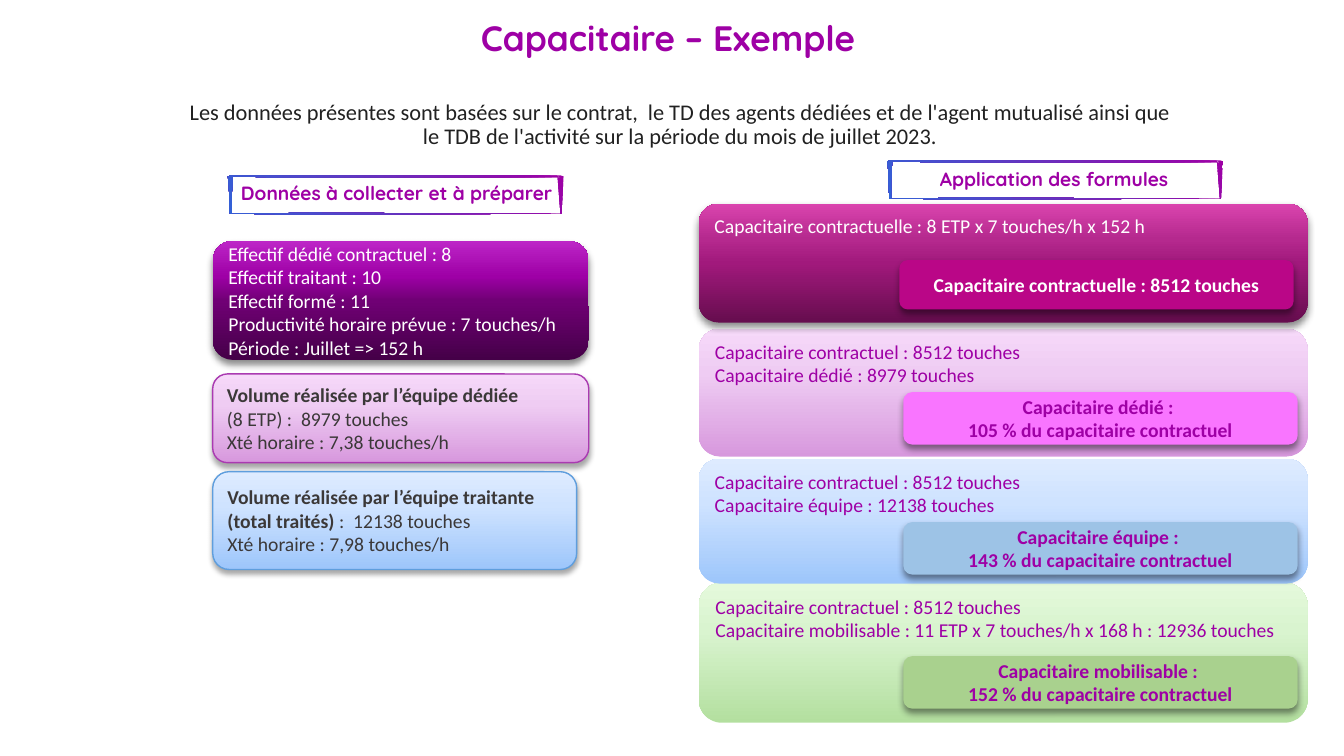
import pptx
import pptx.dml.color
import pptx.enum.shapes
import pptx.enum.text
import pptx.oxml
import pptx.oxml.ns
import pptx.util
from pptx.util import Inches

ALIGN = pptx.enum.text.PP_ALIGN
ANCHOR = pptx.enum.text.MSO_ANCHOR
PURPLE, WHITE, GREY = "9E00A5", "FFFFFF", "3B3838"

LILAC = [(0, "D798DD"), (65, "EFCCF3"), (100, "F6D9F9")]
BLUE = [(0, "9DC6FB"), (65, "CFE3FF"), (100, "DEEBFF")]
GREEN = [(0, "B3DF9F"), (65, "D9F4CF"), (100, "E4F9DB")]
VIOLET = [(0, "450048"), (50, "700075"), (70, "9E00A6"), (100, "BD26C7")]
MAGENTA = [(0, "660D4E"), (50, "A1197C"), (70, "B5298E"), (100, "DA44AE")]
FRAME_FILL = [(0, PURPLE), (100, "3163D8")]

TITLE = "Capacitaire – Exemple"
INTRO = ("Les données présentes sont basées sur le contrat,  le TD des agents dédiées et de "
         "l'agent mutualisé ainsi que le TDB de l'activité sur la période du mois de juillet 2023.")

# Each paragraph is a list of (text, bold) runs.
# box, gradient, outline, shadow (opacity, blur), text colour, paragraphs
DATA_CARDS = [
    ((2.11, 2.39, 3.73, 1.18), VIOLET, None, (45, 5), WHITE,
     [[("Effectif dédié contractuel : 8", False)],
      [("Effectif traitant : 10", False)],
      [("Effectif formé : 11", False)],
      [("Productivité horaire prévue : 7 touches/h", False)],
      [("Période : Juillet => 152 h", False)]]),
    ((2.11, 3.71, 3.73, 0.88), LILAC, "AA3AB1", (35, 4), GREY,
     [[("Volume réalisée par l’équipe dédiée \n", True), ("(8 ETP) :  8979 touches", False)],
      [("Xté horaire : 7,38 touches/h", False)]]),
    ((2.11, 4.68, 3.61, 0.97), BLUE, "5F9EDD", (35, 4), GREY,
     [[("Volume réalisée par l’équipe traitante (total traités) ", True),
       (":  12138 touches", False)],
      [("Xté horaire : 7,98 touches/h", False)]]),
]

# top, height, gradient, shadow, text colour, lines, result (left, top, height, fill, text)
FORMULAS = [
    (2.02, 1.18, MAGENTA, (45, 5), WHITE,
     ["Capacitaire contractuelle : 8 ETP x 7 touches/h x 152 h"],
     (8.92, 2.58, 0.49, "BA0687", "Capacitaire contractuelle : 8512 touches")),
    (3.26, 1.27, LILAC, None, PURPLE,
     ["Capacitaire contractuel : 8512 touches", "Capacitaire dédié : 8979 touches"],
     (8.96, 3.89, 0.52, "F975FF", "Capacitaire dédié : \n105 % du capacitaire contractuel")),
    (4.55, 1.24, BLUE, None, PURPLE,
     ["Capacitaire contractuel : 8512 touches", "Capacitaire équipe : 12138 touches"],
     (8.96, 5.18, 0.52, "9DC3E6", "Capacitaire équipe : \n143 % du capacitaire contractuel")),
    (5.78, 1.39, GREEN, None, PURPLE,
     ["Capacitaire contractuel : 8512 touches",
      "Capacitaire mobilisable : 11 ETP x 7 touches/h x 168 h : 12936 touches"],
     (8.96, 6.51, 0.52, "A9D18E", "Capacitaire mobilisable : \n152 % du capacitaire contractuel")),
]
BAND_LEFT, BAND_WIDTH, RESULT_WIDTH = 6.93, 6.04, 3.91

# frame corner, label box, label
HEADINGS = [
    ((2.26, 1.74), (1.91, 1.73, 4.05, 0.39), "Données à collecter et à préparer"),
    ((8.80, 1.59), (8.83, 1.59, 3.25, 0.40), "Application des formules"),
]
# Hand-drawn frame outlines, in hundredths of an inch from the frame corner
FRAME_OUTER = [(331, 38), (85, 39), (3, 38), (2, 38), (1, 10), (0, 1), (3, 0), (330, 0),
               (333, 1), (331, 38)]
FRAME_INNER = [(330, 38), (327, 1), (330, 2), (44, 2), (3, 1), (5, 1), (4, 19), (4, 38),
               (3, 38), (84, 37), (330, 38)]

deck = pptx.Presentation()
deck.slide_width, deck.slide_height = Inches(13.33), Inches(7.5)
page = deck.slides.add_slide(deck.slide_layouts[5])


def color(code):
    return pptx.dml.color.RGBColor.from_string(code)


def paint(shape, fill, angle=90):
    """Fill with one colour or with gradient stops; angle is counter-clockwise."""
    if isinstance(fill, str):
        shape.fill.solid()
        shape.fill.fore_color.rgb = color(fill)
        return
    shape.fill.gradient()
    shape.fill.gradient_angle = angle
    stops = shape.element.spPr.find(".//" + pptx.oxml.ns.qn("a:gsLst"))
    for old_stop in list(stops):
        stops.remove(old_stop)
    for position, code in fill:
        stops.append(pptx.oxml.parse_xml(
            f'<a:gs {pptx.oxml.ns.nsdecls("a")} pos="{position * 1000}">'
            f'<a:srgbClr val="{code}"/></a:gs>'))


def set_shadow(shape, shadow):
    shape.shadow.inherit = False
    if shadow:
        opacity, blur = shadow
        effects = shape.element.spPr.find(pptx.oxml.ns.qn("a:effectLst"))
        effects.append(pptx.oxml.parse_xml(
            f'<a:outerShdw {pptx.oxml.ns.nsdecls("a")} blurRad="{blur * 12700}" dist="38100" '
            f'dir="5400000" algn="t" rotWithShape="0"><a:srgbClr val="000000">'
            f'<a:alpha val="{opacity * 1000}"/></a:srgbClr></a:outerShdw>'))


def write(shape, paragraphs, code, size=14, font="Calibri", align=ALIGN.LEFT,
          anchor=ANCHOR.MIDDLE, spacing=1.0):
    frame = shape.text_frame
    frame.word_wrap = True
    frame.auto_size = pptx.enum.text.MSO_AUTO_SIZE.NONE
    frame.vertical_anchor = anchor
    for index, runs in enumerate(paragraphs):
        para = frame.add_paragraph() if index else frame.paragraphs[0]
        para.alignment, para.line_spacing = align, spacing
        for text, bold in runs:
            for number, piece in enumerate(text.split("\n")):
                if number:
                    para.add_line_break()
                if not piece:
                    continue
                span = para.add_run()
                span.text = piece
                looks = {"name": font, "size": pptx.util.Pt(size), "bold": bold}
                for name, value in looks.items():
                    setattr(span.font, name, value)
                span.font.color.rgb = color(code)


def add_card(box, fill, outline=None, shadow=None):
    card = page.shapes.add_shape(pptx.enum.shapes.MSO_SHAPE.ROUNDED_RECTANGLE,
                                 *map(Inches, box))
    paint(card, fill)
    set_shadow(card, shadow)
    if outline:
        card.line.color.rgb = color(outline)
        card.line.width = pptx.util.Pt(1)
    else:
        card.line.fill.background()
    return card


def add_frame(left, top):
    def shift(points):
        return [(round(left * 100) + x, round(top * 100) + y) for x, y in points]

    outer, inner = shift(FRAME_OUTER), shift(FRAME_INNER)
    builder = page.shapes.build_freeform(*outer[0], scale=Inches(0.01))
    builder.add_line_segments(outer[1:], close=True)
    builder.move_to(*inner[0])
    builder.add_line_segments(inner[1:], close=True)
    frame = builder.convert_to_shape()
    paint(frame, FRAME_FILL, angle=220)
    frame.line.fill.background()
    set_shadow(frame, None)


title = page.shapes.title
for side, length in {"left": 2.58, "top": 0.15, "width": 8.09, "height": 0.49}.items():
    setattr(title, side, Inches(length))
write(title, [[(TITLE, True)]], PURPLE, 25.2, "Quicksand", ALIGN.CENTER, spacing=0.9)

intro = page.shapes.add_textbox(*map(Inches, (1.71, 0.95, 10.07, 0.65)))
write(intro, [[(INTRO, False)]], "212121", 16, align=ALIGN.CENTER, anchor=ANCHOR.TOP,
      spacing=0.9)

for box, fill, outline, shadow, code, paragraphs in DATA_CARDS:
    write(add_card(box, fill, outline, shadow), paragraphs, code)

for corner, box, label in HEADINGS:
    add_frame(*corner)
    heading = page.shapes.add_textbox(*map(Inches, box))
    write(heading, [[(label, True)]], PURPLE, 13.7, "Quicksand", ALIGN.CENTER, spacing=0.9)

for top, height, fill, shadow, code, lines, result in reversed(FORMULAS):
    band = add_card((BAND_LEFT, top, BAND_WIDTH, height), fill, shadow=shadow)
    write(band, [[(line, False)] for line in lines], code, anchor=ANCHOR.TOP)
    left, result_top, result_height, result_fill, text = result
    badge = add_card((left, result_top, RESULT_WIDTH, result_height), result_fill,
                     shadow=(45, 5))
    write(badge, [[(text, True)]], code, align=ALIGN.CENTER)

deck.save("out.pptx")
